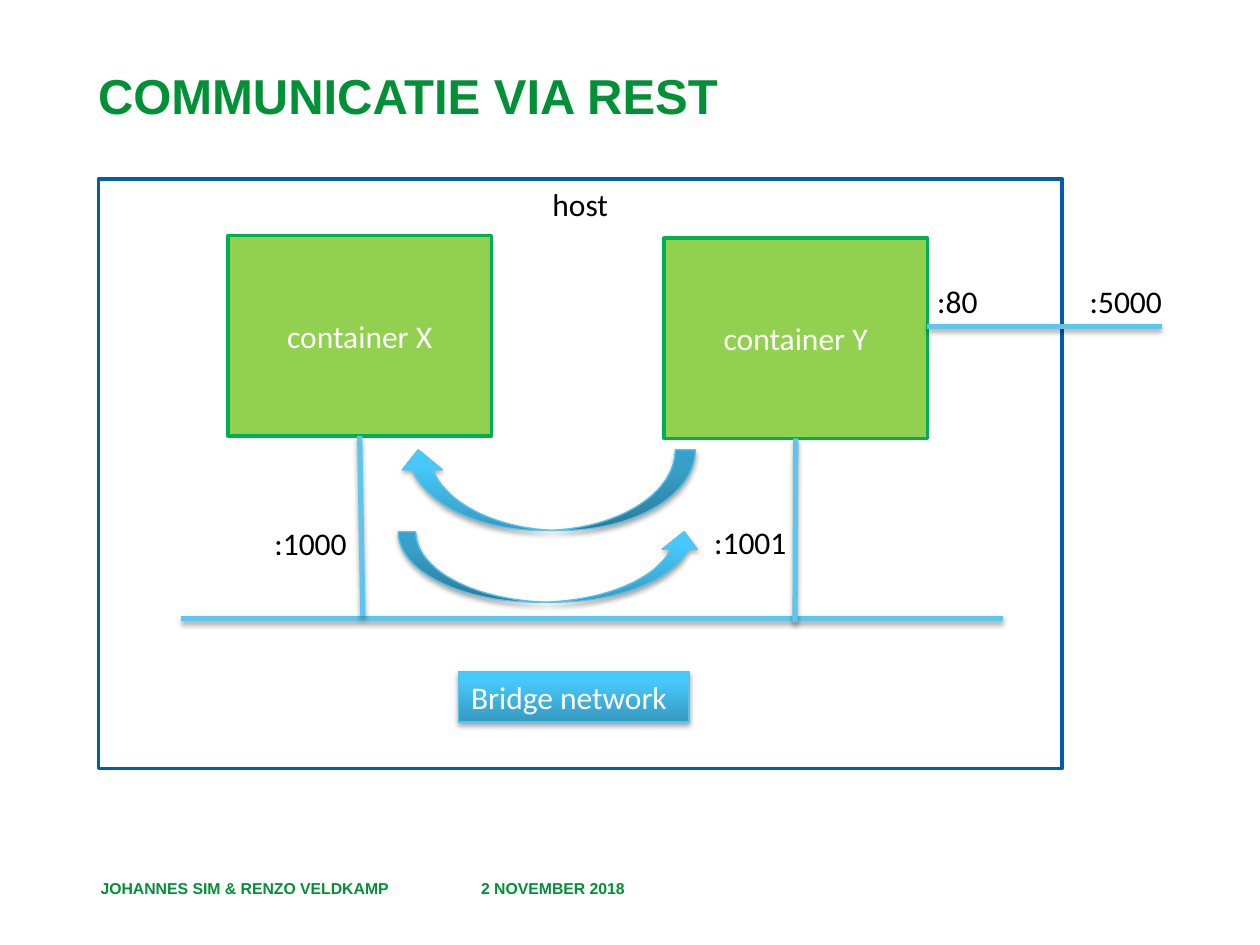
import copy

import lxml.etree
import pptx
import pptx.dml.color
import pptx.enum.dml
import pptx.enum.shapes
import pptx.enum.text
import pptx.oxml.ns
import pptx.util

Inches = pptx.util.Inches
Pt = pptx.util.Pt
qn = pptx.oxml.ns.qn
SHAPE = pptx.enum.shapes.MSO_SHAPE
ANCHOR = pptx.enum.text.MSO_ANCHOR
ALIGN = pptx.enum.text.PP_ALIGN


def rgb(value):
    return pptx.dml.color.RGBColor.from_string(value)


class Deck:
    green = "009036"
    sky = "5EC5ED"
    sky_edge = "58C2EB"
    gradient = [(0, "369AC1"), (0.8, "46C8FA"), (1, "43CAFF")]

    def __init__(self, prs):
        self.slide = prs.slides.add_slide(prs.slide_layouts[6])

    def label(self, sp, text, size=18, color="000000", font="Calibri", bold=False,
              align=ALIGN.LEFT, anchor=ANCHOR.TOP, wrap=True):
        tf = sp.text_frame
        tf.text = text
        tf.word_wrap = wrap
        tf.vertical_anchor = anchor
        if not wrap:
            tf.auto_size = pptx.enum.text.MSO_AUTO_SIZE.SHAPE_TO_FIT_TEXT
        p = tf.paragraphs[0]
        p.alignment = align
        for r in p.runs:
            r.font.size = Pt(size)
            r.font.name = font
            r.font.bold = bold
            r.font.color.rgb = rgb(color)
        return p

    def text(self, x, y, w, h, text, **style):
        tb = self.slide.shapes.add_textbox(Inches(x), Inches(y), Inches(w), Inches(h))
        return self.label(tb, text, **style)

    def heading(self, x, y, w, h, text, size, anchor=ANCHOR.TOP):
        return self.text(x, y, w, h, text, size=size, color=self.green,
                         font="Arial", bold=True, anchor=anchor)

    def port(self, x, y, w, text):
        self.text(x, y, w, 0.4, text, wrap=False)

    def shape(self, kind, x, y, w, h, line, width):
        sp = self.slide.shapes.add_shape(kind, Inches(x), Inches(y), Inches(w), Inches(h))
        sp.shadow.inherit = False
        sp.line.color.rgb = rgb(line)
        sp.line.width = Pt(width)
        return sp

    def box(self, x, y, w, h, text, fill, line, color, anchor):
        sp = self.shape(SHAPE.RECTANGLE, x, y, w, h, line, 2)
        sp.fill.solid()
        sp.fill.fore_color.rgb = rgb(fill)
        self.label(sp, text, color=color, align=ALIGN.CENTER, anchor=anchor)
        return sp

    def container(self, x, y, text):
        return self.box(x, y, 2.09, 1.59, text, "92D050", "00B050", "FFFFFF", ANCHOR.MIDDLE)

    def glossy(self, kind, x, y, w, h):
        sp = self.shape(kind, x, y, w, h, self.sky_edge, 0.75)
        sp.fill.gradient()
        sp.fill.gradient_angle = 90
        stops = sp.element.spPr.find(".//" + qn("a:gsLst"))
        stops.append(copy.deepcopy(stops[-1]))
        for stop, (position, color) in zip(sp.fill.gradient_stops, self.gradient):
            stop.position = position
            stop.color.rgb = rgb(color)
        self.cast_shadow(sp.element.spPr.find(qn("a:effectLst")))
        return sp

    def arrow(self, x, y, w, h, flip=False):
        sp = self.glossy(SHAPE.CURVED_UP_ARROW, x, y, w, h)
        if flip:
            sp.element.spPr.find(qn("a:xfrm")).set("flipH", "1")

    def line(self, x1, y1, x2, y2, start=None):
        cn = self.slide.shapes.add_connector(
            pptx.enum.shapes.MSO_CONNECTOR.STRAIGHT,
            Inches(x1), Inches(y1), Inches(x2), Inches(y2))
        if start is not None:
            cn.begin_connect(start, 2)
        cn.line.color.rgb = rgb(self.sky)
        cn.line.width = Pt(3)
        self.cast_shadow(lxml.etree.SubElement(cn._element.spPr, qn("a:effectLst")))

    def cast_shadow(self, effects):
        shadow = lxml.etree.SubElement(
            effects, qn("a:outerShdw"), blurRad=str(Pt(3.1)), dist=str(Pt(1.8)),
            dir="5400000", rotWithShape="0")
        color = lxml.etree.SubElement(shadow, qn("a:srgbClr"), val="000000")
        lxml.etree.SubElement(color, qn("a:alpha"), val="35000")


def main():
    prs = pptx.Presentation()
    prs.slide_width = Inches(10)
    prs.slide_height = Inches(7.5)
    deck = Deck(prs)

    title = deck.heading(0.68, 0.52, 8.93, 0.9, "COMMUNICATIE VIA REST", 28)
    title.line_spacing = Pt(30)
    deck.heading(3.72, 6.85, 2.33, 0.4, "2 NOVEMBER 2018", 9, ANCHOR.MIDDLE)
    deck.heading(0.7, 6.85, 2.88, 0.4, "JOHANNES SIM & RENZO VELDKAMP", 9, ANCHOR.MIDDLE)

    deck.box(0.78, 1.42, 7.65, 4.68, "host", "FFFFFF", "005EA8", "000000", ANCHOR.TOP)
    deck.line(1.44, 4.91, 7.96, 4.91)
    network = deck.glossy(SHAPE.RECTANGLE, 3.64, 5.33, 1.83, 0.4)
    deck.label(network, "Bridge network", color="FFFFFF", wrap=False)

    container_x = deck.container(1.81, 1.87, "container X")
    container_y = deck.container(5.27, 1.89, "container Y")
    deck.line(2.86, 3.46, 2.88, 4.89, container_x)
    deck.line(6.31, 3.48, 6.31, 4.94, container_y)
    deck.port(2.08, 4.11, 0.78, ":1000")
    deck.port(5.57, 4.1, 0.78, ":1001")
    deck.port(7.34, 2.19, 0.53, ":80")
    deck.line(7.36, 2.59, 9.22, 2.59)
    deck.port(8.55, 2.19, 0.78, ":5000")

    deck.arrow(3.16, 4.22, 2.41, 0.56)
    deck.arrow(3.16, 3.57, 2.36, 0.64, flip=True)

    prs.save("out.pptx")


if __name__ == "__main__":
    main()
